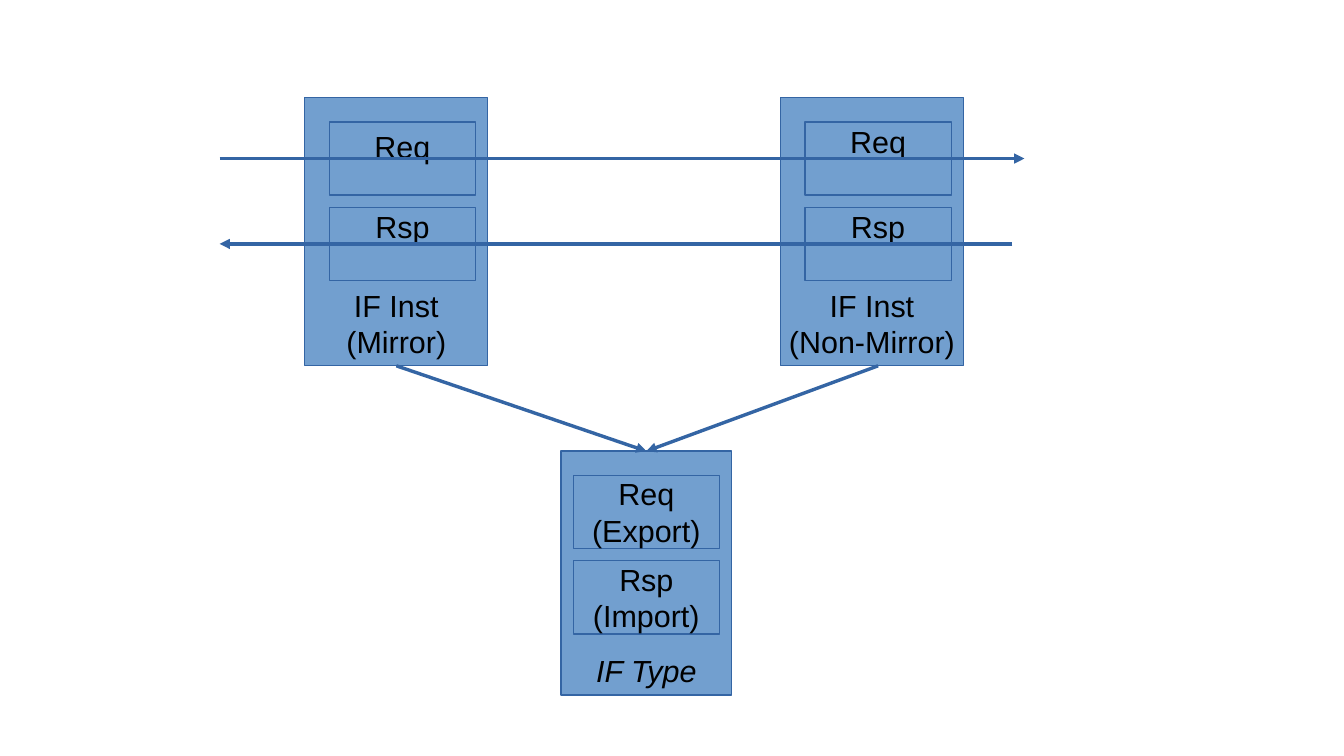
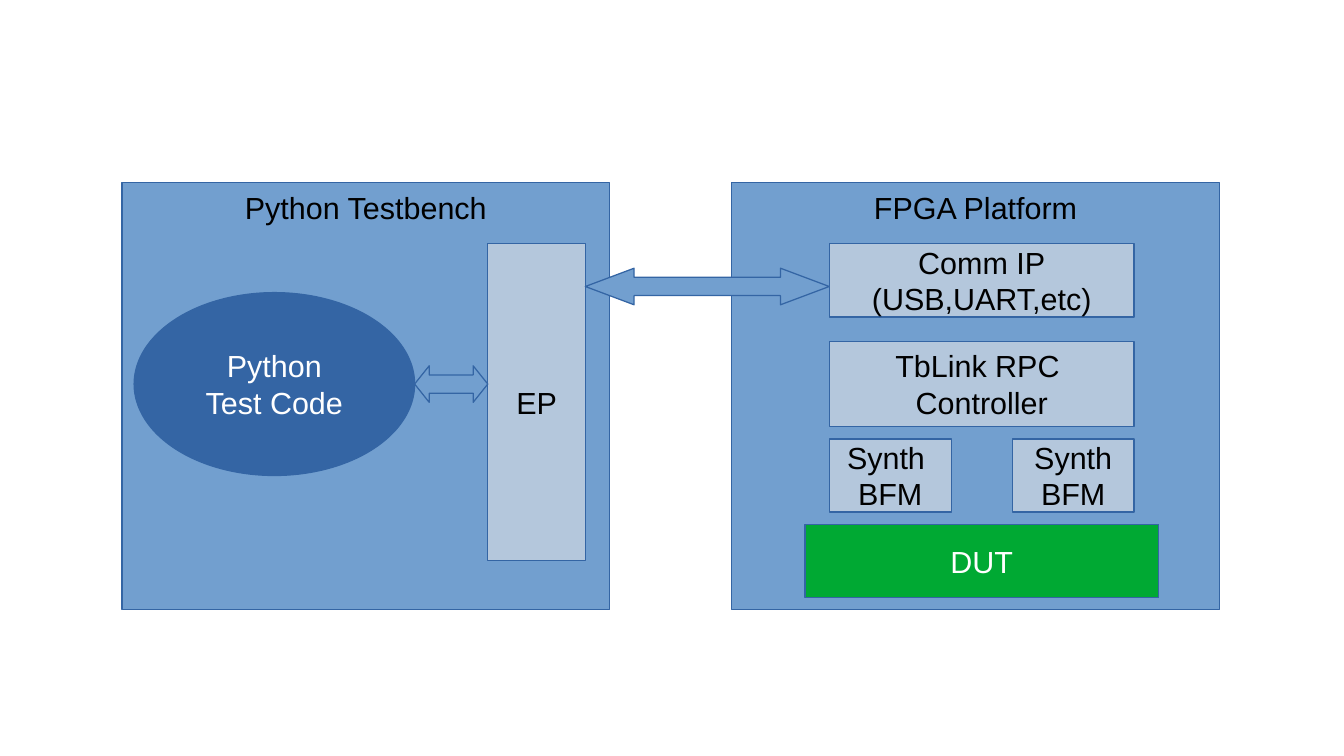
from lxml import etree
from pptx import Presentation
from pptx.dml.color import RGBColor
from pptx.enum.shapes import MSO_CONNECTOR as CONN, MSO_SHAPE as SHAPE
from pptx.enum.text import MSO_ANCHOR as ANCHOR, PP_ALIGN as ALIGN
from pptx.oxml.ns import qn
from pptx.util import Inches, Pt

BLUE = RGBColor(0x72, 0x9F, 0xCF)
NAVY = RGBColor(0x34, 0x65, 0xA4)
PALE = RGBColor(0xB4, 0xC7, 0xDC)
GREEN = RGBColor(0x00, 0xA9, 0x33)
BLACK = RGBColor(0, 0, 0)
WHITE = RGBColor(0xFF, 0xFF, 0xFF)
FONT, SIZE = "Arial", Pt(18)
SLIDE_W, SLIDE_H = 11.02, 6.2
CELL = 0.1
PORT_W, PORT_H, PORT_STEP = 12, 6, 7


def grid(*cells):
    return [Inches(c * CELL) for c in cells]


def add_block(shapes, box, text="", fill=BLUE, color=BLACK, kind=SHAPE.RECTANGLE,
              anchor=ANCHOR.MIDDLE, top=0.05, italic=None):
    sp = shapes.add_shape(kind, *grid(*box))
    sp.shadow.inherit = False
    sp.fill.solid()
    sp.fill.fore_color.rgb = fill
    sp.line.color.rgb = NAVY
    sp.line.width = 0
    if text:
        tf = sp.text_frame
        tf.word_wrap = False
        tf.vertical_anchor = anchor
        tf.margin_top = Inches(top)
        tf.text = text
        for p in tf.paragraphs:
            p.alignment = ALIGN.CENTER
            p.font.name, p.font.size = FONT, SIZE
            p.font.color.rgb = color
            p.font.italic = italic
    return sp


def add_double_arrow(shapes, box, head):
    sp = add_block(shapes, box, kind=SHAPE.LEFT_RIGHT_ARROW)
    sp.adjustments[0] = 0.5
    sp.adjustments[1] = head / box[3]


def add_arrow(shapes, start, end):
    line = shapes.add_connector(CONN.STRAIGHT, *grid(*start, *end))
    line.line.color.rgb = NAVY
    line.line.width = 0
    etree.SubElement(line.line._get_or_add_ln(), qn("a:tailEnd"), type="triangle")
    etree.SubElement(line._element.spPr, qn("a:effectLst"))


def add_interface(shapes, box, label, ports, inset, italic=None, **port_style):
    add_block(shapes, box, label, anchor=ANCHOR.BOTTOM, italic=italic)
    x, y = box[0] + inset, box[1] + 2
    for i, (port, top) in enumerate(ports):
        add_block(shapes, (x, y + i * PORT_STEP, PORT_W, PORT_H), port, top=top, **port_style)


def build_interfaces(slide):
    shapes = slide.shapes
    add_interface(shapes.add_group_shape().shapes, (46, 37, 14, 20), "IF Type",
                  [("Req\n(Export)", 0.05), ("Rsp\n(Import)", 0.05)], 1, italic=True)
    for x, label, req_top in ((64, "IF Inst\n(Non-Mirror)", 0.01),
                              (25, "IF Inst\n(Mirror)", 0.05)):
        add_interface(shapes, (x, 8, 15, 22), label,
                      [("Req", req_top), ("Rsp", 0.01)], 2, anchor=ANCHOR.TOP)
    type_top = (53, 37)
    for start, end in (((32.5, 30), type_top), ((72, 30), type_top),
                       ((18, 13), (84, 13)), ((83, 20), (18, 20))):
        add_arrow(shapes, start, end)


def build_platform(slide):
    shapes = slide.shapes
    for x, title in ((10, "Python Testbench"), (60, "FPGA Platform")):
        add_block(shapes, (x, 15, 40, 35), title, anchor=ANCHOR.TOP)
    add_block(shapes, (66, 43, 29, 6), "DUT", GREEN, WHITE)
    for box, text in (((68, 36, 10, 6), "Synth \nBFM"),
                      ((83, 36, 10, 6), "Synth\vBFM"),
                      ((68, 28, 25, 7), "TbLink RPC \nController"),
                      ((68, 20, 25, 6), "Comm IP\n(USB,UART,etc)"),
                      ((40, 20, 8, 26), "EP")):
        add_block(shapes, box, text, PALE)
    add_double_arrow(shapes, (48, 22, 20, 3), 4)
    add_block(shapes, (11, 24, 23, 15), "Python\nTest Code", NAVY, WHITE, SHAPE.OVAL)
    add_double_arrow(shapes, (34, 30, 6, 3), 1.2)


def main():
    prs = Presentation()
    prs.slide_width, prs.slide_height = Inches(SLIDE_W), Inches(SLIDE_H)
    for build in (build_interfaces, build_platform):
        build(prs.slides.add_slide(prs.slide_layouts[6]))
    prs.save("out.pptx")


if __name__ == "__main__":
    main()
